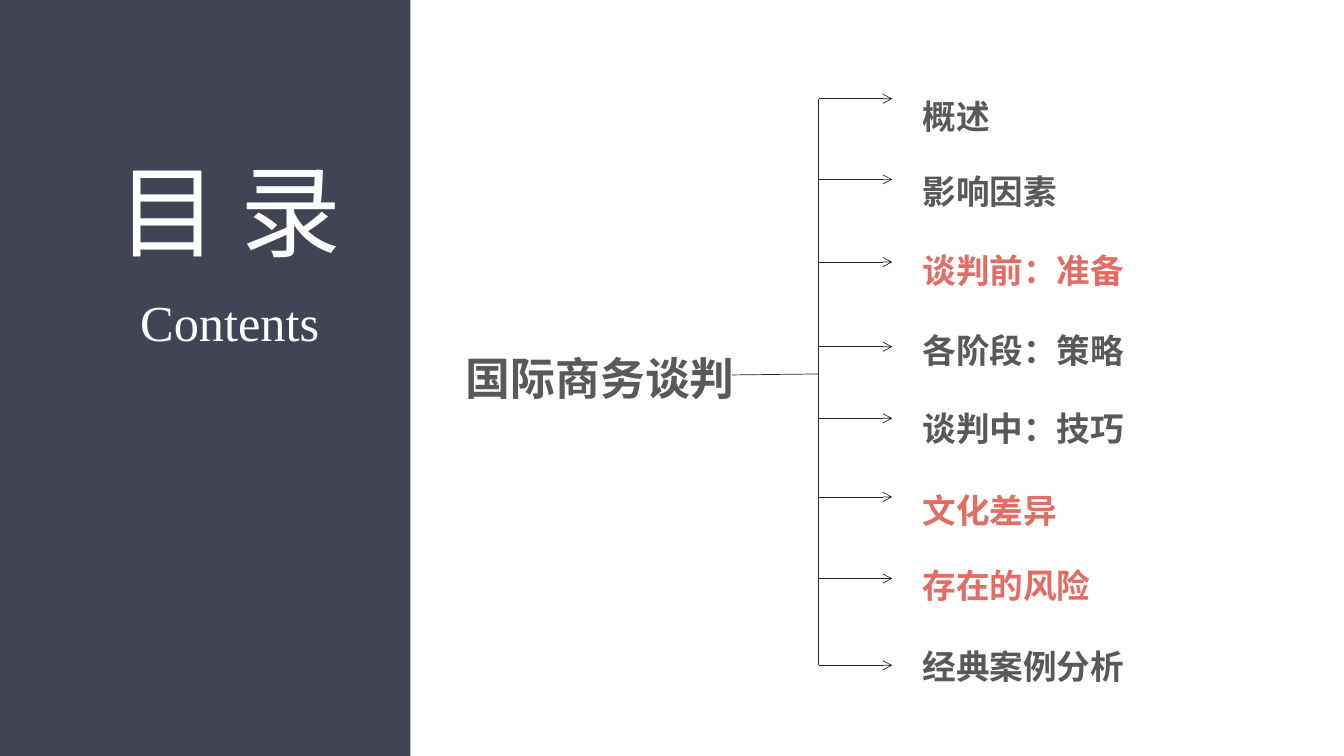
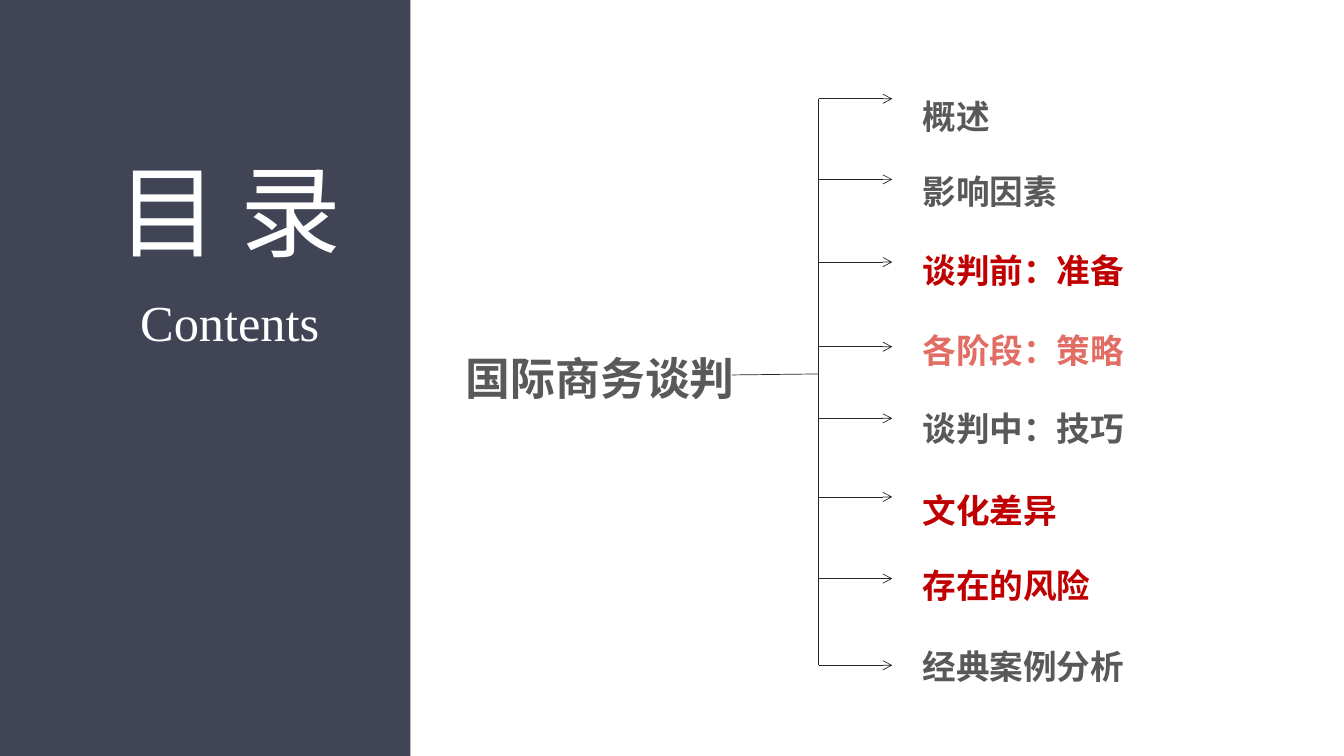
"""Build two contents slides that highlight different chapters of a negotiation course."""
from lxml import etree
from pptx import Presentation
from pptx import util as u
from pptx.dml.color import RGBColor
from pptx.enum import shapes, text
from pptx.oxml.ns import qn

NAVY, WHITE, GREY, INK = "414455", "FFFFFF", "595959", "262626"
CORAL, RED = "E16D65", "C00000"
CJK, LATIN, SERIF = "Noto Sans CJK SC", "Lato", "Times New Roman"
TOP, MIDDLE = text.MSO_ANCHOR.TOP, text.MSO_ANCHOR.MIDDLE
LEFT, CENTER = text.PP_ALIGN.LEFT, text.PP_ALIGN.CENTER

HEADINGS = [
    ("目 录", (0.91, 1.43, 2.73, 1.31), 72, CJK),
    ("Contents", (1.28, 2.84, 2, 0.71), 36, SERIF),
]
TOPIC = "国际商务谈判"
CHAPTERS = [
    ("概述", 0.71, 2.19, 0.68, MIDDLE, 0.98),
    ("影响因素", 1.46, 3.14, 0.68, MIDDLE, 1.78),
    ("谈判前：准备", 2.27, 3.14, 0.61, MIDDLE, 2.6),
    ("各阶段：策略", 3.07, 3.79, 0.61, MIDDLE, 3.44),
    ("谈判中：技巧", 3.81, 3.14, 0.68, MIDDLE, 4.15),
    ("文化差异", 4.62, 1.68, 0.61, TOP, 4.93),
    ("存在的风险", 5.4, 3.14, 0.61, MIDDLE, 5.74),
    ("经典案例分析", 6.17, 3.67, 0.68, TOP, 6.6),
]
HIGHLIGHTS = [
    {"谈判前：准备": CORAL, "文化差异": CORAL, "存在的风险": CORAL},
    {"谈判前：准备": RED, "各阶段：策略": CORAL, "文化差异": RED, "存在的风险": RED},
]
CHAPTER_LEFT, TRUNK_X, ARROW_END = 9.08, 8.12, 8.85


def color(value):
    return RGBColor.from_string(value)


def inches(values):
    return [u.Inches(value) for value in values]


def add_block(page, place, fill):
    block = page.shapes.add_shape(shapes.MSO_SHAPE.RECTANGLE, *inches(place))
    block.shadow.inherit = False
    block.fill.solid()
    block.fill.fore_color.rgb = color(fill)
    block.line.fill.background()
    return block


def write(box, words, size, font, ink, bold=False, align=CENTER, anchor=TOP, wrap=False):
    frame = box.text_frame
    frame.word_wrap = wrap
    frame.auto_size = text.MSO_AUTO_SIZE.SHAPE_TO_FIT_TEXT
    frame.vertical_anchor = anchor
    para = frame.paragraphs[0]
    para.text = words
    para.alignment = align
    para.font.size = u.Pt(size)
    para.font.bold = bold
    para.font.color.rgb = color(ink)
    para.font.name = font
    latin = para._p.pPr.find(qn("a:defRPr")).find(qn("a:latin"))
    east_asian = etree.Element(qn("a:ea"), typeface=CJK)
    latin.addnext(east_asian)
    return frame


def add_line(page, start, end, arrow=False):
    line = page.shapes.add_connector(shapes.MSO_CONNECTOR.STRAIGHT, *inches(start + end))
    line.line.color.rgb = color(INK)
    line.line.width = u.Pt(0.5)
    properties = line._element.spPr
    if arrow:
        etree.SubElement(properties.find(qn("a:ln")), qn("a:tailEnd"), type="arrow")
    etree.SubElement(properties, qn("a:effectLst"))


def add_chapter(page, chapter, ink):
    words, top, width, height, anchor, arrow_y = chapter
    box = page.shapes.add_textbox(*inches((CHAPTER_LEFT, top, width, height)))
    frame = write(box, words, 24, LATIN, ink, True, LEFT, anchor, True)
    frame.margin_left = frame.margin_right = u.Inches(0.07)
    frame.margin_top = frame.margin_bottom = u.Inches(0.04)
    frame.paragraphs[0].line_spacing = 1.5
    add_line(page, (TRUNK_X, arrow_y), (ARROW_END, arrow_y), arrow=True)


def add_contents(deck, highlights):
    page = deck.slides.add_slide(deck.slide_layouts[6])
    add_block(page, (0, 0, 4.07, 7.5), NAVY)
    for words, place, size, font in HEADINGS:
        write(page.shapes.add_textbox(*inches(place)), words, size, font, WHITE)
    add_block(page, (4.65, 3.38, 2.61, 0.67), WHITE)
    topic = add_block(page, (4.51, 3.43, 2.89, 0.64), WHITE)
    write(topic, TOPIC, 32, CJK, GREY, bold=True)
    for chapter in CHAPTERS:
        add_chapter(page, chapter, highlights.get(chapter[0], GREY))
    add_line(page, (TRUNK_X, CHAPTERS[0][-1]), (TRUNK_X, CHAPTERS[-1][-1]))
    add_line(page, (7.26, 3.72), (TRUNK_X, 3.71))


deck = Presentation()
deck.slide_width, deck.slide_height = inches((13.33, 7.5))
for highlights in HIGHLIGHTS:
    add_contents(deck, highlights)
deck.save("out.pptx")
